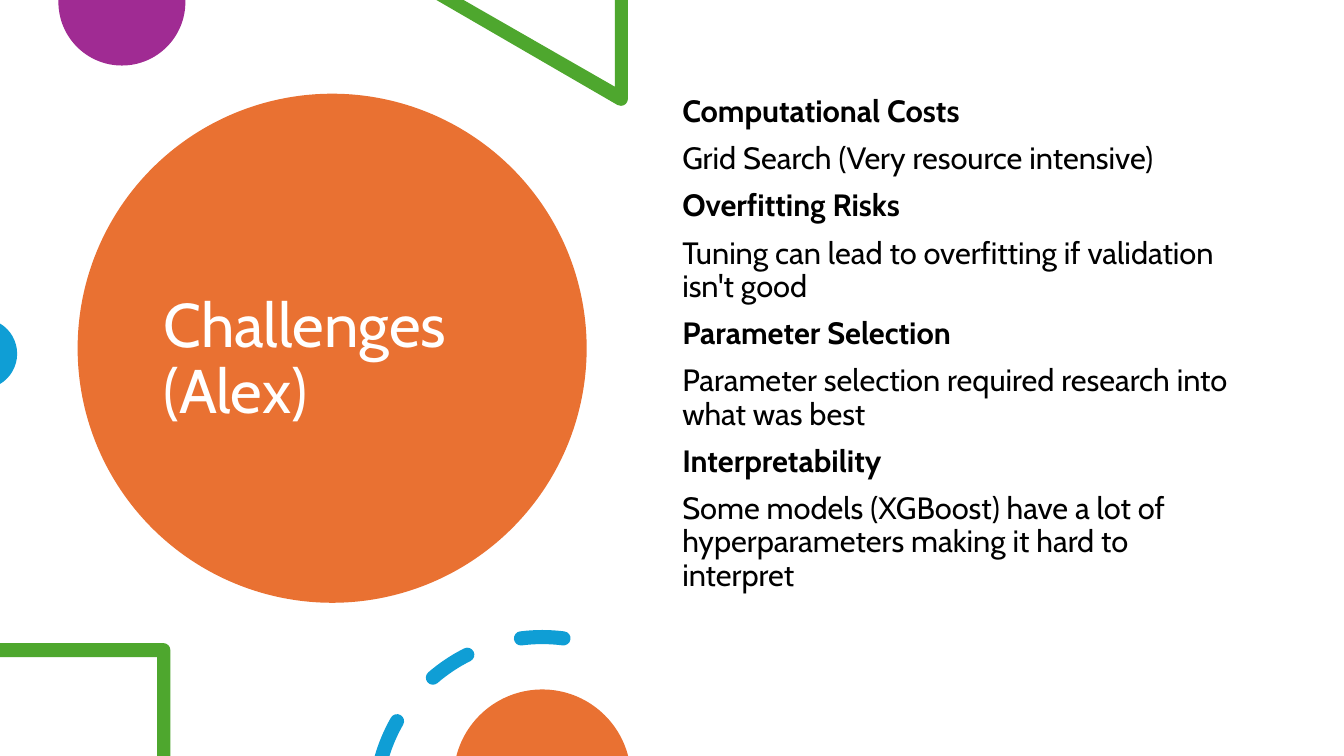
from itertools import pairwise
from math import cos, radians, sin, tan

from lxml import etree
from pptx import Presentation
from pptx.dml.color import RGBColor
from pptx.enum.shapes import MSO_SHAPE
from pptx.enum.text import MSO_ANCHOR
from pptx.oxml.ns import qn
from pptx.util import Inches, Pt

FONT = "Cabin"
BLACK = RGBColor(0x00, 0x00, 0x00)
WHITE = RGBColor(0xFF, 0xFF, 0xFF)
ORANGE = RGBColor(0xE9, 0x71, 0x32)
PURPLE = RGBColor(0xA0, 0x2B, 0x93)
GREEN = RGBColor(0x4E, 0xA7, 0x2E)
BLUE = RGBColor(0x0F, 0x9E, 0xD5)

SLIDE_WIDTH = 40 / 3
SLIDE_HEIGHT = 7.5
RING_CENTER = (5.38, 7.98)
RING_RADIUS = 1.66
RING_HALF_WIDTH = 0.07

CHALLENGES = [
    ("Computational Costs", "Grid Search (Very resource intensive)"),
    ("Overfitting Risks", "Tuning can lead to overfitting if validation isn't good"),
    ("Parameter Selection", "Parameter selection required research into what was best"),
    ("Interpretability",
     "Some models (XGBoost) have a lot of hyperparameters making it hard to interpret"),
]


def polar(center, radius, angle):
    """Point on a circle, angle in degrees clockwise from the right."""
    return (center[0] + radius * cos(radians(angle)), center[1] + radius * sin(radians(angle)))


def arc(center, radius, *angles):
    """Segments along a circle: a list of one point for the start, then three per curve."""
    segments = [[polar(center, radius, angles[0])]]
    for start, end in pairwise(angles):
        handle = radius * 4 / 3 * tan(radians(end - start) / 4)
        segments.append([polar(polar(center, radius, start), handle, start + 90),
                         polar(polar(center, radius, end), handle, end - 90),
                         polar(center, radius, end)])
    return segments


def corners(*points):
    return [[point] for point in points]


def ring_cap(angle, turn):
    """Round end of a dash, without its start point."""
    center = polar(RING_CENTER, RING_RADIUS, angle)
    return arc(center, RING_HALF_WIDTH, *(angle + turn + step for step in (0, 90, 180)))[1:]


def ring_dash(start, end, inner_start=None):
    """One dash of the ring; with inner_start its first end is cut off by the slide edge."""
    is_cut = inner_start is not None
    return (arc(RING_CENTER, RING_RADIUS + RING_HALF_WIDTH, start, end)
            + ring_cap(end, 0)
            + arc(RING_CENTER, RING_RADIUS - RING_HALF_WIDTH, end,
                  inner_start if is_cut else start)[1:]
            + ([] if is_cut else ring_cap(start, 180)))


def paint(shape, color):
    shape.fill.solid()
    shape.fill.fore_color.rgb = color
    shape.line.fill.background()
    shape.shadow.inherit = False


def bend_lines(shape, segments):
    """Turn the straight lines of every three-point segment into one Bézier curve."""
    lines = iter(list(shape.element.iter(qn("a:lnTo"))))
    for segment in segments:
        members = [next(lines) for point in segment]
        if len(members) == 3:
            curve = etree.Element(qn("a:cubicBezTo"))
            members[0].addprevious(curve)
            for line in members:
                curve.append(line[0])
                line.getparent().remove(line)


def add_outline(slide, color, *contours):
    builder = None
    for contour in contours:
        points = [(Inches(x), Inches(y)) for segment in contour for x, y in segment]
        if builder is None:
            builder = slide.shapes.build_freeform(*points[0])
        else:
            builder.move_to(*points[0])
        builder.add_line_segments(points[1:], close=True)
    shape = builder.convert_to_shape()
    bend_lines(shape, [segment for contour in contours for segment in contour[1:]])
    paint(shape, color)


def add_circle(slide, left, top, diameter, color):
    circle = slide.shapes.add_shape(MSO_SHAPE.OVAL, Inches(left), Inches(top),
                                    Inches(diameter), Inches(diameter))
    paint(circle, color)


def add_text_frame(slide, left, top, width, height):
    box = slide.shapes.add_textbox(Inches(left), Inches(top), Inches(width), Inches(height))
    box.text_frame.word_wrap = True
    return box.text_frame


def format_paragraph(paragraph, size, color, bold=False):
    paragraph.line_spacing = 0.9
    for run in paragraph.runs:
        run.font.name = FONT
        run.font.size = Pt(size)
        run.font.bold = bold
        run.font.color.rgb = color


def add_title(slide):
    frame = add_text_frame(slide, 1.52, 1.35, 3.54, 4.45)
    frame.vertical_anchor = MSO_ANCHOR.MIDDLE
    paragraph = frame.paragraphs[0]
    paragraph.text = "Challenges\v(Alex)"
    format_paragraph(paragraph, 44, WHITE)


def add_challenges(slide):
    frame = add_text_frame(slide, 6.67, 0.9, 5.75, 5.35)
    lines = [(text, text == heading) for heading, detail in CHALLENGES
             for text in (heading, detail)]
    for index, (text, bold) in enumerate(lines):
        paragraph = frame.add_paragraph() if index else frame.paragraphs[0]
        paragraph.text = text
        if index:
            paragraph.space_before = Pt(10)
        format_paragraph(paragraph, 22, BLACK, bold)


def add_top_decorations(slide):
    add_outline(slide, PURPLE, corners((1.84, 0), (0.58, 0))
                + arc((1.21, 0.02), 0.63, 180, 90, 0))
    add_outline(slide, GREEN, corners((6.23, 0), (6.1, 0), (6.1, 0.86), (4.6, 0), (4.33, 0))
                + arc((6.16, 0.98), 0.07, 120, 90, 0))
    add_outline(slide, BLUE, arc((-0.18, 3.51), 0.35, -59, 0, 59))


def add_bottom_decorations(slide):
    add_outline(slide, GREEN, corners((0, 6.38), (0, 6.52), (1.56, 6.52),
                                      (1.56, SLIDE_HEIGHT), (1.69, SLIDE_HEIGHT))
                + arc((1.62, 6.45), 0.07, 0, -90))
    add_outline(slide, BLUE, ring_dash(196.1, 209.8, inner_start=197.6),
                ring_dash(229.2, 243.4), ring_dash(262.7, 277.3))
    add_outline(slide, ORANGE, arc((5.38, 7.72), 0.88, 194.5, 270, 345.5))


def main():
    presentation = Presentation()
    presentation.slide_width = Inches(SLIDE_WIDTH)
    presentation.slide_height = Inches(SLIDE_HEIGHT)
    slide = presentation.slides.add_slide(presentation.slide_layouts[6])
    add_circle(slide, 0.77, 0.93, 5.05, ORANGE)
    add_title(slide)
    add_top_decorations(slide)
    add_challenges(slide)
    add_bottom_decorations(slide)
    presentation.save("out.pptx")


if __name__ == "__main__":
    main()
